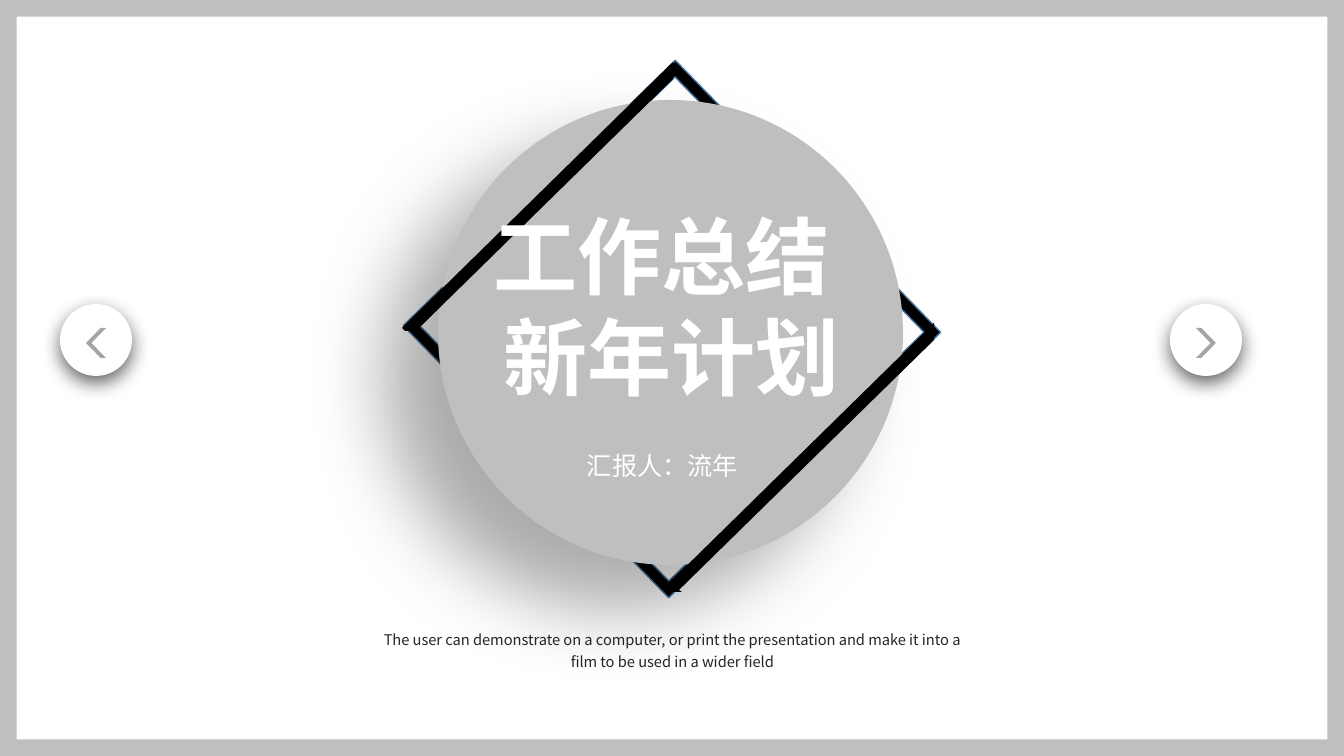
from pptx import Presentation
from pptx.dml.color import RGBColor
from pptx.enum.shapes import MSO_SHAPE as SHAPE
from pptx.enum.text import MSO_AUTO_SIZE as AUTO, PP_ALIGN as ALIGN
from pptx.oxml import parse_xml
from pptx.oxml.ns import nsdecls
from pptx.util import Pt

PX = 914400 / 100.8
FONT = "Noto Sans CJK SC"
GREY, WHITE, BLACK = "BFBFBF", "FFFFFF", "000000"


def style(s, fill, line=None, shadow=None):
    """Fill, outline and optional shadow (alpha %, blur pt, distance pt, angle)."""
    s.shadow.inherit = False
    s.fill.solid()
    s.fill.fore_color.rgb = RGBColor.from_string(fill)
    if line:
        s.line.color.rgb = RGBColor.from_string(line)
        s.line.width = Pt(1)
    else:
        s.line.fill.background()
    if shadow:
        alpha, blur, dist, angle = shadow
        effects = s._element.spPr.find("{*}effectLst")
        effects.append(parse_xml(
            f'<a:outerShdw {nsdecls("a")} blurRad="{Pt(blur)}" dist="{Pt(dist)}" '
            f'dir="{angle * 60000}" algn="ctr" rotWithShape="0"><a:srgbClr val="{BLACK}">'
            f'<a:alpha val="{alpha * 1000}"/></a:srgbClr></a:outerShdw>'))
    return s


def add_text(box, lines, size, color, align, bold=False, wrap=True, spacing=None):
    tf = s_tree.add_textbox(*[round(v * PX) for v in box]).text_frame
    tf.word_wrap = wrap
    tf.auto_size = AUTO.SHAPE_TO_FIT_TEXT
    tf.text = "\n".join(lines)
    for p in tf.paragraphs:
        p.alignment = align
        p.line_spacing = spacing
        r = p.runs[0]
        r.font.size, r.font.bold, r.font.name = Pt(size), bold, FONT
        r.font.color.rgb = RGBColor.from_string(color)
        r._r.rPr.append(parse_xml(f'<a:ea {nsdecls("a")} typeface="{FONT}"/>'))


prs = Presentation()
prs.slide_width, prs.slide_height = round(1344 * PX), round(756 * PX)
s_tree = prs.slides.add_slide(prs.slide_layouts[6]).shapes

# Slide border
s = s_tree.add_shape(SHAPE.FRAME, 0, 0, prs.slide_width, prs.slide_height)
s.adjustments[0] = 0.022
style(s, GREY)

# Caption
add_text((363, 621, 619, 52),
         ["The user can demonstrate on a computer, or print the presentation "
          "and make it into a film to be used in a wider field"],
         10.5, "262626", ALIGN.CENTER, spacing=1.25)

# Previous and next buttons
for x, rotation in ((60, 180), (1170, 0)):
    s = s_tree.add_shape(SHAPE.OVAL, *[round(v * PX) for v in (x, 304, 72, 72)])
    style(s, WHITE, shadow=(61, 14, 5, 90))
    s = s_tree.add_shape(SHAPE.CHEVRON, *[round(v * PX) for v in (x + 26, 328, 20, 30)])
    s.adjustments[0] = 0.731
    s.rotation = rotation
    style(s, "A5A5A5")

# Tilted frame behind the disc
s = s_tree.add_shape(SHAPE.FRAME, *[round(v * PX) for v in (482, 139, 380, 380)])
s.adjustments[0] = 0.031
s.rotation = 315.7
style(s, BLACK, line="43739E")

# Disc
s = s_tree.add_shape(SHAPE.OVAL, *[round(v * PX) for v in (438, 100, 465, 465)])
style(s, GREY, shadow=(32, 57, 50, 140))

# Two frame sides that pass over the disc
side = [(673, 62), (673, 79), (418, 329), (421, 331), (405, 331), (402, 328)]
for shift in (0, 261):
    points = [(x + shift, y + shift) for x, y in side]
    outline = s_tree.build_freeform(*points[0], scale=PX)
    outline.add_line_segments(points[1:])
    style(outline.convert_to_shape(), BLACK)

# Title and presenter
add_text((431, 200, 481, 214), ["工作总结 ", "新年计划"], 60, WHITE, ALIGN.CENTER, bold=True)
add_text((577, 445, 173, 40), ["汇报人：流年"], 18, WHITE, ALIGN.LEFT, wrap=False)

prs.save("out.pptx")
